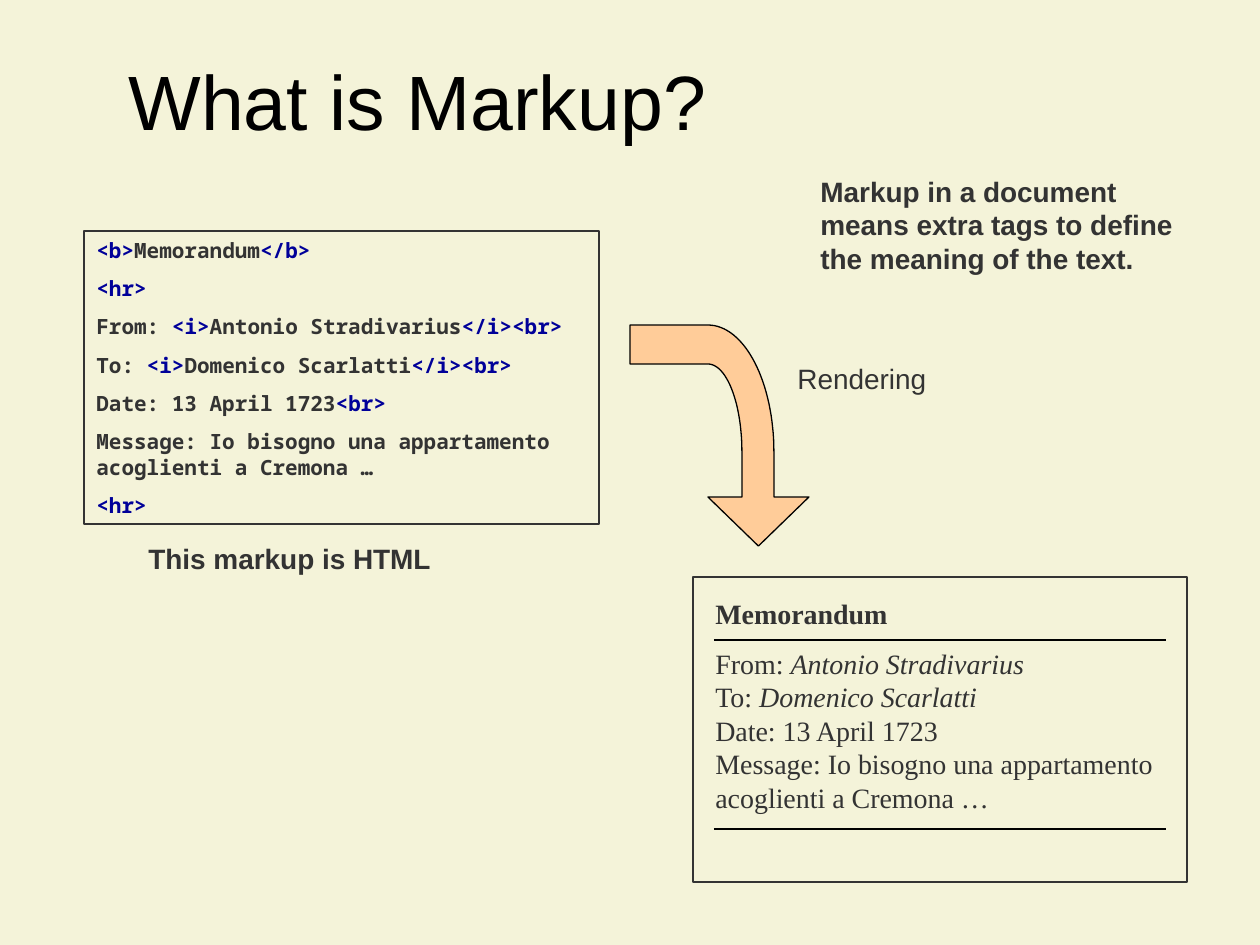
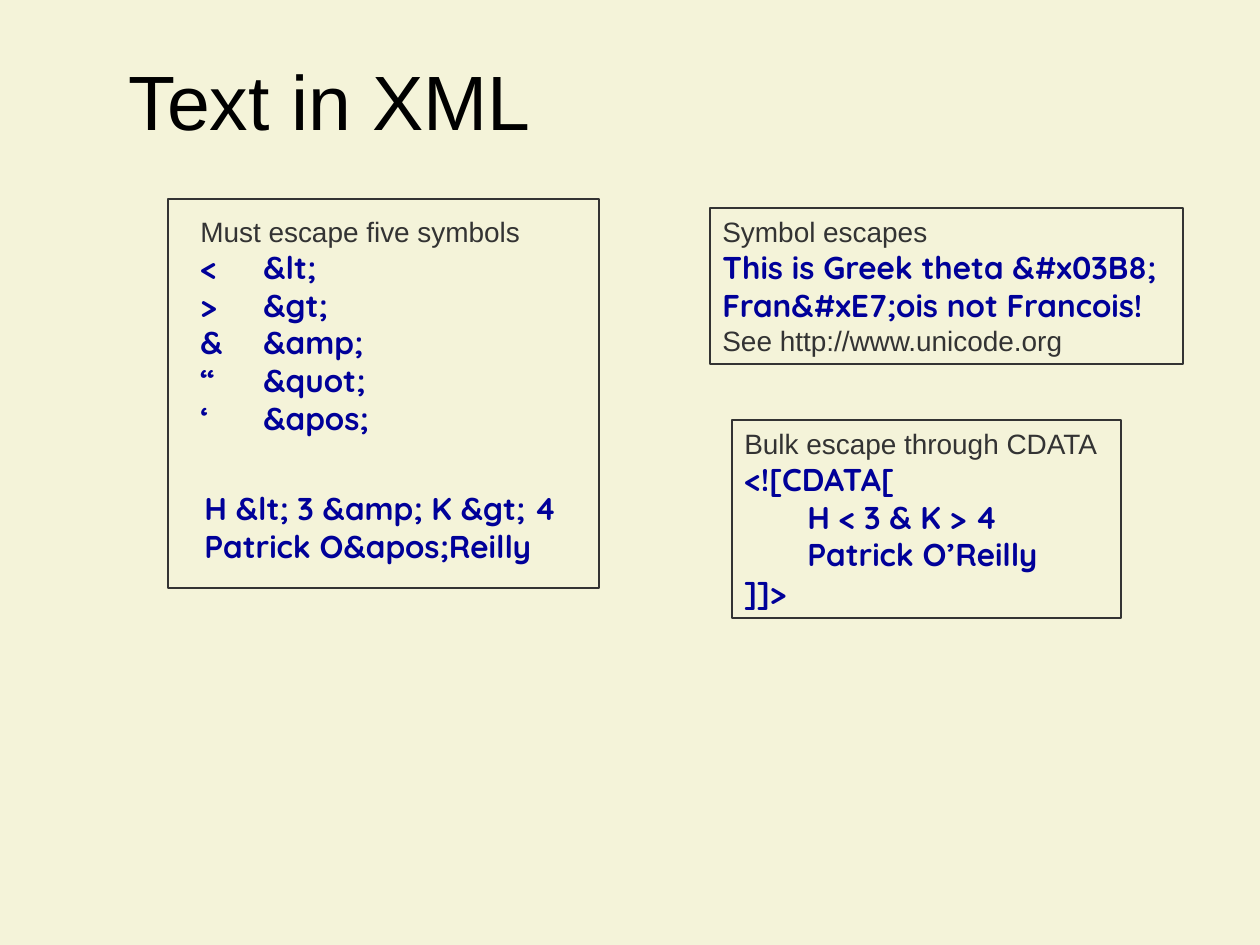
from collections import namedtuple
from dataclasses import dataclass
from math import cos, pi, sin

from lxml import etree
from pptx import Presentation
from pptx.dml.color import RGBColor
from pptx.enum.shapes import MSO_CONNECTOR, MSO_SHAPE
from pptx.enum.text import MSO_ANCHOR, MSO_AUTO_SIZE, PP_ALIGN
from pptx.oxml.ns import qn
from pptx.util import Emu, Pt

RECTANGLE = MSO_SHAPE.RECTANGLE
STRAIGHT = MSO_CONNECTOR.STRAIGHT
TOP, MIDDLE = MSO_ANCHOR.TOP, MSO_ANCHOR.MIDDLE
LEFT = PP_ALIGN.LEFT
NO_AUTO_SIZE = MSO_AUTO_SIZE.NONE

EMU_PER_PX = 914400 / 126
TITLE_ONLY = 5
CURVE_STEPS = 32

Box = namedtuple("Box", "left top width height")


@dataclass(frozen=True)
class Theme:
    background: str = "F4F3D9"
    ink: str = "333333"
    black: str = "000000"
    code: str = "000099"
    arrow: str = "FFCC99"
    sans: str = "Arial"
    serif: str = "Times New Roman"
    mono: str = "Noto Sans Mono"
    rounded: str = "Quicksand"
    title_size: int = 44
    sample_size: int = 18
    body_size: int = 16
    code_size: int = 12
    code_gap: float = 7.5
    line_width: float = 0.75


THEME = Theme()
PLAIN = dict(font=THEME.sans)
STRONG = dict(font=THEME.sans, bold=True)
SAMPLE = dict(font=THEME.rounded, size=THEME.sample_size, color=THEME.code, bold=True)


# Shared helpers
def px(length):
    return Emu(round(length * EMU_PER_PX))


def rgb(code):
    return RGBColor.from_string(code)


def within(box, left, top, width, height):
    """Return a box placed relative to the corner of another."""
    return Box(box.left + left, box.top + top, width, height)


def set_line(line, color):
    line.color.rgb = rgb(color)
    line.width = Pt(THEME.line_width)


def write(para, text, font, size=THEME.body_size, color=THEME.ink, bold=False, italic=False):
    for index, line in enumerate(text.split("\n")):
        if index:
            para.add_line_break()
        if line:
            span = para.add_run()
            span.text = line
            span.font.name = font
            span.font.size = Pt(size)
            span.font.color.rgb = rgb(color)
            span.font.bold = bold
            span.font.italic = italic


def fill_text(shape, paragraphs, gap=0):
    """Fill a shape with paragraphs, each a list of (text, format) pairs."""
    frame = shape.text_frame
    frame.word_wrap = True
    frame.auto_size = NO_AUTO_SIZE
    frame.vertical_anchor = TOP
    for index, spans in enumerate(paragraphs):
        para = frame.add_paragraph() if index else frame.paragraphs[0]
        para.alignment = LEFT
        para.space_before = Pt(gap)
        for text, style in spans:
            write(para, text, **style)


def add_text(page, box, paragraphs):
    fill_text(page.shapes.add_textbox(*map(px, box)), paragraphs)


def add_frame(page, box, paragraphs=(), gap=0):
    frame = page.shapes.add_shape(RECTANGLE, *map(px, box))
    frame.shadow.inherit = False
    frame.fill.background()
    set_line(frame.line, THEME.ink)
    fill_text(frame, paragraphs, gap)


def add_rule(page, left, top, width):
    rule = page.shapes.add_connector(STRAIGHT, px(left), px(top), px(left + width), px(top))
    set_line(rule.line, THEME.black)
    etree.SubElement(rule._element.spPr, qn("a:effectLst"))


def add_page(deck, heading):
    page = deck.slides.add_slide(deck.slide_layouts[TITLE_ONLY])
    title = page.shapes.title
    title.left, title.top, title.width, title.height = map(px, Box(116, 21, 1071, 158))
    fill_text(title, [[(heading, dict(font=THEME.sans, size=THEME.title_size, color=THEME.black))]])
    title.text_frame.vertical_anchor = MIDDLE
    return page


# Markup slide regions
def add_source_code(page, box):
    lines = [
        ["<b>", "Memorandum", "</b>"],
        ["<hr>"],
        ["From: ", "<i>", "Antonio Stradivarius", "</i><br>"],
        ["To: ", "<i>", "Domenico Scarlatti", "</i><br>"],
        ["Date: 13 April 1723", "<br>"],
        ["Message: Io bisogno una appartamento acoglienti a Cremona …"],
        ["<hr>"],
    ]
    text_style = dict(font=THEME.mono, size=THEME.code_size, bold=True)
    tag_style = dict(text_style, color=THEME.code)
    paragraphs = [
        [(part, tag_style if part.startswith("<") else text_style) for part in line]
        for line in lines
    ]
    add_frame(page, box, paragraphs, THEME.code_gap)
    add_text(page, within(box, 52, 304, 412, 47), [[("This markup is HTML", STRONG)]])


def add_bent_arrow(page, box):
    bend_x, bend_y = 78, 127
    outer_x, inner_x, head_y, thickness = 144, 112, 172, 39

    def quarter(radius_x, radius_y):
        angles = [pi / 2 * step / CURVE_STEPS for step in range(CURVE_STEPS + 1)]
        return [(bend_x + radius_x * sin(a), bend_y - radius_y * cos(a)) for a in angles]

    outer = quarter(outer_x - bend_x, bend_y)
    inner = quarter(inner_x - bend_x, bend_y - thickness)
    head = [
        (outer_x, head_y),
        (box.width, head_y),
        ((bend_x + box.width) / 2, box.height),
        (bend_x, head_y),
        (inner_x, head_y),
    ]
    outline = [(0, 0), *outer, *head, *reversed(inner), (0, thickness)]
    points = [(px(box.left + x), px(box.top + y)) for x, y in outline]
    builder = page.shapes.build_freeform(*points[0])
    builder.add_line_segments(points[1:], close=True)
    arrow = builder.convert_to_shape()
    arrow.shadow.inherit = False
    arrow.fill.solid()
    arrow.fill.fore_color.rgb = rgb(THEME.arrow)
    set_line(arrow.line, THEME.black)
    add_text(page, within(box, 155, 30, 160, 47), [[("Rendering", PLAIN)]])


def add_rendered_memo(page, box):
    roman = dict(font=THEME.serif)
    italic = dict(roman, italic=True)
    add_text(page, within(box, 10, 13, 494, 47), [[("Memorandum", dict(roman, bold=True))]])
    add_text(page, within(box, 10, 63, 494, 181), [[
        ("From: ", roman),
        ("Antonio Stradivarius\n", italic),
        ("To: ", roman),
        ("Domenico Scarlatti\n", italic),
        ("Date: 13 April 1723\nMessage: Io bisogno una appartamento acoglienti a Cremona …", roman),
    ]])
    add_frame(page, box)
    for top in (63, 252):
        add_rule(page, box.left + 21, box.top + top, 452)


def build_markup_page(deck):
    page = add_page(deck, "What is Markup?")
    add_source_code(page, Box(84, 231, 515, 293))
    add_bent_arrow(page, Box(630, 325, 179, 221))
    add_rendered_memo(page, Box(693, 577, 494, 305))
    definition = "Markup in a document means extra tags to define the meaning of the text."
    add_text(page, Box(808, 168, 412, 113), [[(definition, STRONG)]])


# XML text slide regions
def add_symbol_table(page, box):
    symbols = {"<": "&lt;", ">": "&gt;", "&": "&amp;", "“": "&quot;", "‘": "&apos;"}
    rows = [[(f"{symbol}\t{escape}", SAMPLE)] for symbol, escape in symbols.items()]
    add_text(page, within(box, 20, 9, 350, 236), [[("Must escape five symbols", PLAIN)], *rows])
    examples = ["H &lt; 3 &amp; K &gt; 4", "Patrick O&apos;Reilly"]
    add_text(page, within(box, 24, 284, 379, 88), [[(line, SAMPLE)] for line in examples])
    add_frame(page, box)


def add_sample_panel(page, box, heading, samples, note=None):
    paragraphs = [[(heading, PLAIN)], *([(line, SAMPLE)] for line in samples)]
    if note:
        paragraphs.append([(note, PLAIN)])
    add_frame(page, box, paragraphs)


def build_xml_text_page(deck):
    page = add_page(deck, "Text in XML")
    add_symbol_table(page, Box(168, 199, 431, 389))
    add_sample_panel(
        page, Box(710, 208, 473, 156), "Symbol escapes",
        ["This is Greek theta &#x03B8;", "Fran&#xE7;ois not Francois!"],
        "See http://www.unicode.org",
    )
    add_sample_panel(
        page, Box(732, 420, 389, 198), "Bulk escape through CDATA",
        ["<![CDATA[", "\tH < 3 & K > 4", "\tPatrick O’Reilly", "]]>"],
    )


def main():
    deck = Presentation()
    deck.slide_width, deck.slide_height = px(1260), px(945)
    background = deck.slide_master.background.fill
    background.solid()
    background.fore_color.rgb = rgb(THEME.background)
    build_markup_page(deck)
    build_xml_text_page(deck)
    deck.save("out.pptx")


if __name__ == "__main__":
    main()
